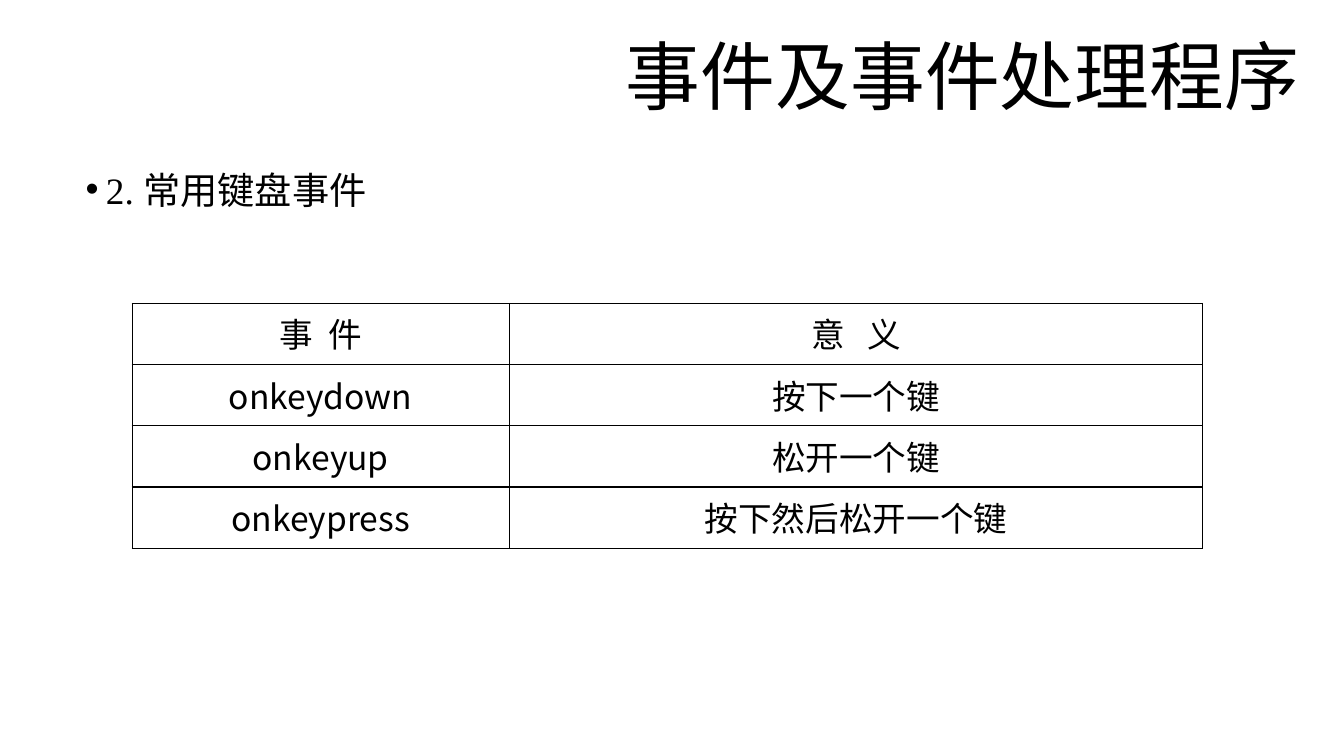
from lxml.etree import SubElement
from pptx import Presentation
from pptx.dml.color import RGBColor
from pptx.enum.lang import MSO_LANGUAGE_ID
from pptx.enum.text import MSO_ANCHOR, MSO_AUTO_SIZE, PP_ALIGN
from pptx.oxml.ns import qn
from pptx.util import Inches, Pt

BLACK = RGBColor(0x00, 0x00, 0x00)
WHITE = RGBColor(0xFF, 0xFF, 0xFF)

prs = Presentation()
prs.slide_width, prs.slide_height = Inches(13.33), Inches(7.5)
s = prs.slides.add_slide(prs.slide_layouts[1])
COL, ROW = prs.slide_width / 100, prs.slide_height / 100  # 100 x 100 grid


def box(left, top, width, height):
    """Turn grid columns and rows into a position and size."""
    return dict(left=int(left * COL), top=int(top * ROW),
                width=int(width * COL), height=int(height * ROW))


def write(tf, text, size, font, para, frame):
    """Fill a text frame with one formatted paragraph and return its run."""
    for name, value in frame.items():
        setattr(tf, name, value)
    p = tf.paragraphs[0]
    for name, value in para.items():
        setattr(p, name, value)
    r = p.add_run()
    r.text = text
    style = dict(size=Pt(size), name=font, language_id=MSO_LANGUAGE_ID.SIMPLIFIED_CHINESE)
    for name, value in style.items():
        setattr(r.font, name, value)
    r.font.color.rgb = BLACK
    return r


# Title and list line
flush = dict(margin_left=0, margin_right=0, margin_top=0, margin_bottom=0,
             word_wrap=True, auto_size=MSO_AUTO_SIZE.NONE)
title, body = s.placeholders
for sp, place in ((title, box(28.58, 1.47, 70.07, 16.67)),
                  (body, box(5.03, 23.47, 44.19, 7.07))):
    for name, value in place.items():
        setattr(sp, name, value)
write(title.text_frame, "事件及事件处理程序", 53.4, "Arial",
      dict(alignment=PP_ALIGN.RIGHT),
      {**flush, "margin_right": int(2 * COL), "vertical_anchor": MSO_ANCHOR.MIDDLE})
write(body.text_frame, "2. 常用键盘事件", 26.6, "Times New Roman",
      dict(line_spacing=0.75, space_before=Pt(5.3)),
      {**flush, "vertical_anchor": MSO_ANCHOR.TOP})

# Bullet with hanging indent
pPr = body.text_frame.paragraphs[0]._p.get_or_add_pPr()
pPr.set("marL", str(Inches(0.38)))
pPr.set("indent", str(-Inches(0.2)))
SubElement(pPr, qn("a:buFont")).set("typeface", "Arial")
SubElement(pPr, qn("a:buChar")).set("char", "•")

# Event table; the third value widens the gap between header letters
rows = [
    [("事 件", 270), ("意 义", 540)],
    [("onkeydown", 0), ("按下一个键", 0)],
    [("onkeyup", 0), ("松开一个键", 0)],
    [("onkeypress", 0), ("按下然后松开一个键", 0)],
]
col_shares, row_share = (28.06, 51.61), 8.1
table = s.shapes.add_table(
    len(rows), len(col_shares),
    **box(9.83, 40.13, sum(col_shares), row_share * len(rows))).table
for column, share in zip(table.columns, col_shares):
    column.width = int(share * COL)
cell_format = dict(margin_left=Inches(0.15), margin_right=Inches(0.15),
                   margin_top=Inches(0.07), margin_bottom=Inches(0.07),
                   vertical_anchor=MSO_ANCHOR.MIDDLE)
for i, row in enumerate(rows):
    table.rows[i].height = int(row_share * ROW)
    for j, (text, spacing) in enumerate(row):
        cell = table.cell(i, j)
        for name, value in cell_format.items():
            setattr(cell, name, value)
        r = write(cell.text_frame, text, 24, "Noto Sans CJK SC",
                  dict(alignment=PP_ALIGN.CENTER, line_spacing=0.95), {})
        r.font.bold = False
        if spacing:
            r._r.get_or_add_rPr().set("spc", str(spacing))
        # Borders come before the fill in the cell properties
        tcPr = cell._tc.get_or_add_tcPr()
        for side in ("a:lnL", "a:lnR", "a:lnT", "a:lnB"):
            line = SubElement(tcPr, qn(side), w=str(Pt(1)))
            fill = SubElement(line, qn("a:solidFill"))
            SubElement(fill, qn("a:srgbClr")).set("val", str(BLACK))
        cell.fill.solid()
        cell.fill.fore_color.rgb = WHITE

prs.save("out.pptx")
